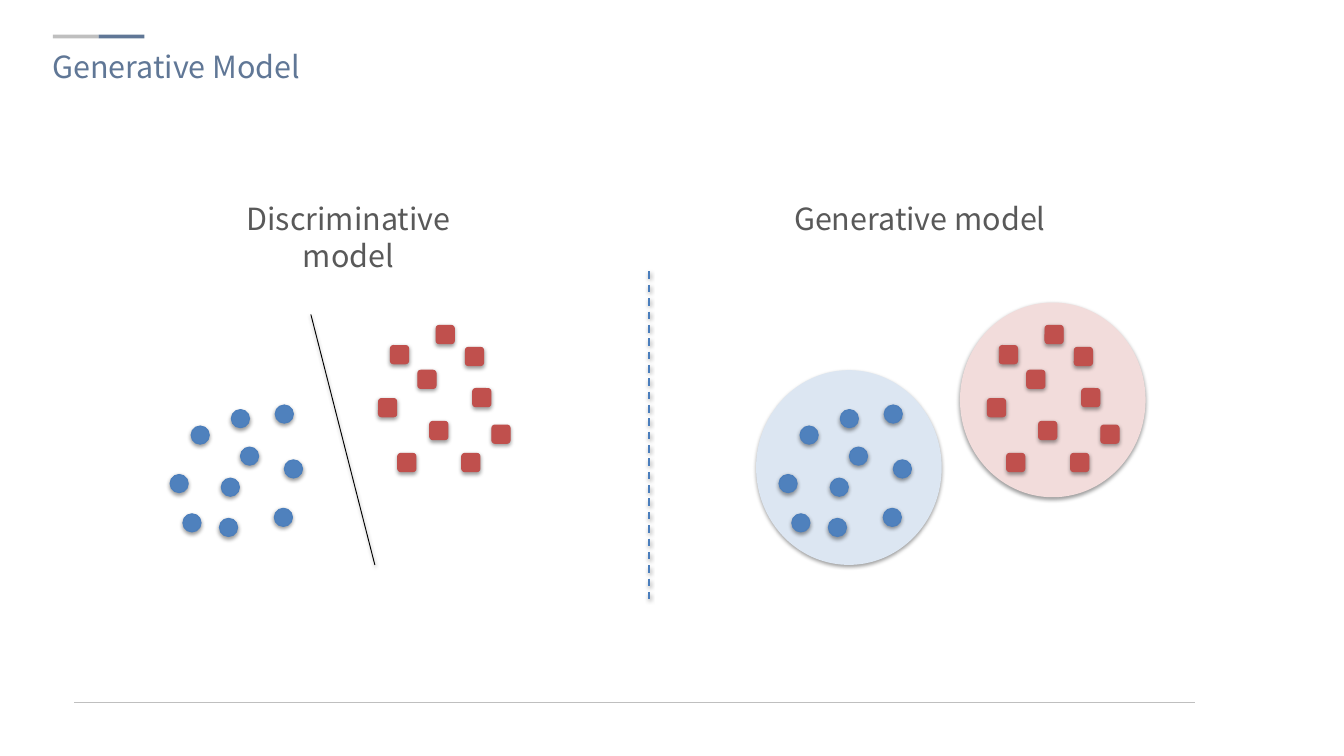
from lxml import etree
from pptx import Presentation
from pptx.dml.color import RGBColor
from pptx.enum.dml import MSO_LINE
from pptx.enum.shapes import MSO_CONNECTOR, MSO_SHAPE
from pptx.enum.text import MSO_ANCHOR, MSO_AUTO_SIZE, PP_ALIGN
from pptx.oxml.ns import qn
from pptx.util import Pt

PX = 9144  # EMU per px, 100 px to the inch
FONT = "Noto Sans CJK KR"

RECTANGLE = MSO_SHAPE.RECTANGLE
ROUNDED = MSO_SHAPE.ROUNDED_RECTANGLE
OVAL = MSO_SHAPE.OVAL
STRAIGHT = MSO_CONNECTOR.STRAIGHT
DASH = MSO_LINE.DASH
TOP = MSO_ANCHOR.TOP
GROW = MSO_AUTO_SIZE.SHAPE_TO_FIT_TEXT
LEFT, CENTER = PP_ALIGN.LEFT, PP_ALIGN.CENTER

BLACK = RGBColor(0x00, 0x00, 0x00)
GREY = RGBColor(0xBF, 0xBF, 0xBF)
DARK_GREY = RGBColor(0x59, 0x59, 0x59)
SLATE = RGBColor(0x60, 0x77, 0x96)
BLUE = RGBColor(0x4F, 0x81, 0xBD)
BLUE_LINE = RGBColor(0x4B, 0x7E, 0xBC)
PALE_BLUE = RGBColor(0xDC, 0xE6, 0xF2)
RED = RGBColor(0xC0, 0x50, 0x4D)
PALE_RED = RGBColor(0xF2, 0xDC, 0xDB)

MARKER_SIZE = 20
GENERATIVE_SHIFT = 666  # from the left panel to the right one
CIRCLE_POINTS = [(209, 466), (253, 448), (242, 523), (311, 503), (200, 562),
                 (263, 489), (300, 556), (186, 519), (301, 443), (240, 567)]
SQUARE_POINTS = [(427, 378), (477, 356), (457, 405), (517, 425), (538, 465),
                 (414, 436), (470, 461), (505, 496), (435, 496), (509, 380)]


def scale(*lengths):
    return [length * PX for length in lengths]


def add_drop_shadow(effects):
    shadow = etree.SubElement(effects, qn("a:outerShdw"), blurRad="40000",
                              dist="20000", dir="5400000", rotWithShape="0")
    color = etree.SubElement(shadow, qn("a:srgbClr"), val="000000")
    etree.SubElement(color, qn("a:alpha"), val="38000")


def add_block(shapes, kind, box, fill, line=None, shadow=True):
    shape = shapes.add_shape(kind, *scale(*box))
    shape.fill.solid()
    shape.fill.fore_color.rgb = fill
    if line is None:
        shape.line.fill.background()
    else:
        shape.line.color.rgb = line
        shape.line.width = Pt(0.75)
    shape.shadow.inherit = False
    if shadow:
        add_drop_shadow(shape._element.spPr.find(qn("a:effectLst")))


def add_line(shapes, start, end, color, width=0.75, dash=None, shadow=True):
    connector = shapes.add_connector(STRAIGHT, *scale(*start, *end))
    connector.line.color.rgb = color
    connector.line.width = Pt(width)
    if dash is not None:
        connector.line.dash_style = dash
    effects = etree.SubElement(connector._element.spPr, qn("a:effectLst"))
    if shadow:
        add_drop_shadow(effects)


def add_cluster(shapes, kind, points, shift, fill, line):
    group = shapes.add_group_shape()
    for left, top in points:
        box = (left + shift, top, MARKER_SIZE, MARKER_SIZE)
        add_block(group.shapes, kind, box, fill, line)


def format_text(shape, box, text, color, alignment):
    shape.left, shape.top, shape.width, shape.height = scale(*box)
    frame = shape.text_frame
    frame.text = text
    frame_format = {"word_wrap": True, "auto_size": GROW,
                    "vertical_anchor": TOP}
    for name, value in frame_format.items():
        setattr(frame, name, value)
    paragraph = frame.paragraphs[0]
    paragraph.alignment = alignment
    for name, value in {"name": FONT, "size": Pt(24)}.items():
        setattr(paragraph.font, name, value)
    paragraph.font.color.rgb = color
    # East Asian font families also need the typeface in the ea slot
    etree.SubElement(paragraph.font._element, qn("a:ea"), typeface=FONT)


def add_heading(shapes, left, text):
    box = (left, 214, 308, 50)
    format_text(shapes.add_textbox(*scale(*box)), box, text, DARK_GREY, CENTER)


def main():
    presentation = Presentation()
    presentation.slide_width, presentation.slide_height = scale(1470, 827)
    slide = presentation.slides.add_slide(presentation.slide_layouts[5])
    shapes = slide.shapes

    # Title with its accent bars, and the footer rule
    format_text(shapes.title, (47, 48, 663, 50), "Generative Model", SLATE, LEFT)
    for left, color in ((58, GREY), (108, SLATE)):
        add_block(shapes, RECTANGLE, (left, 38, 50, 4), color, shadow=False)
    add_line(shapes, (81, 769), (1307, 769), GREY, shadow=False)

    # Class regions of the generative model
    for left, top, color in ((1050, 331, PALE_RED), (827, 405, PALE_BLUE)):
        add_block(shapes, OVAL, (left, top, 203, 213), color)

    # Panel headings and divider
    add_heading(shapes, 227, "Discriminative model")
    add_heading(shapes, 852, "Generative model")
    add_line(shapes, (710, 297), (710, 655), BLUE_LINE, width=1.5, dash=DASH)

    # The same two classes in both panels
    for shift in (0, GENERATIVE_SHIFT):
        add_cluster(shapes, OVAL, CIRCLE_POINTS, shift, BLUE, BLUE_LINE)
        add_cluster(shapes, ROUNDED, SQUARE_POINTS, shift, RED, RED)

    # Decision boundary of the discriminative model
    add_line(shapes, (340, 344), (410, 618), BLACK)

    presentation.save("out.pptx")


if __name__ == "__main__":
    main()
